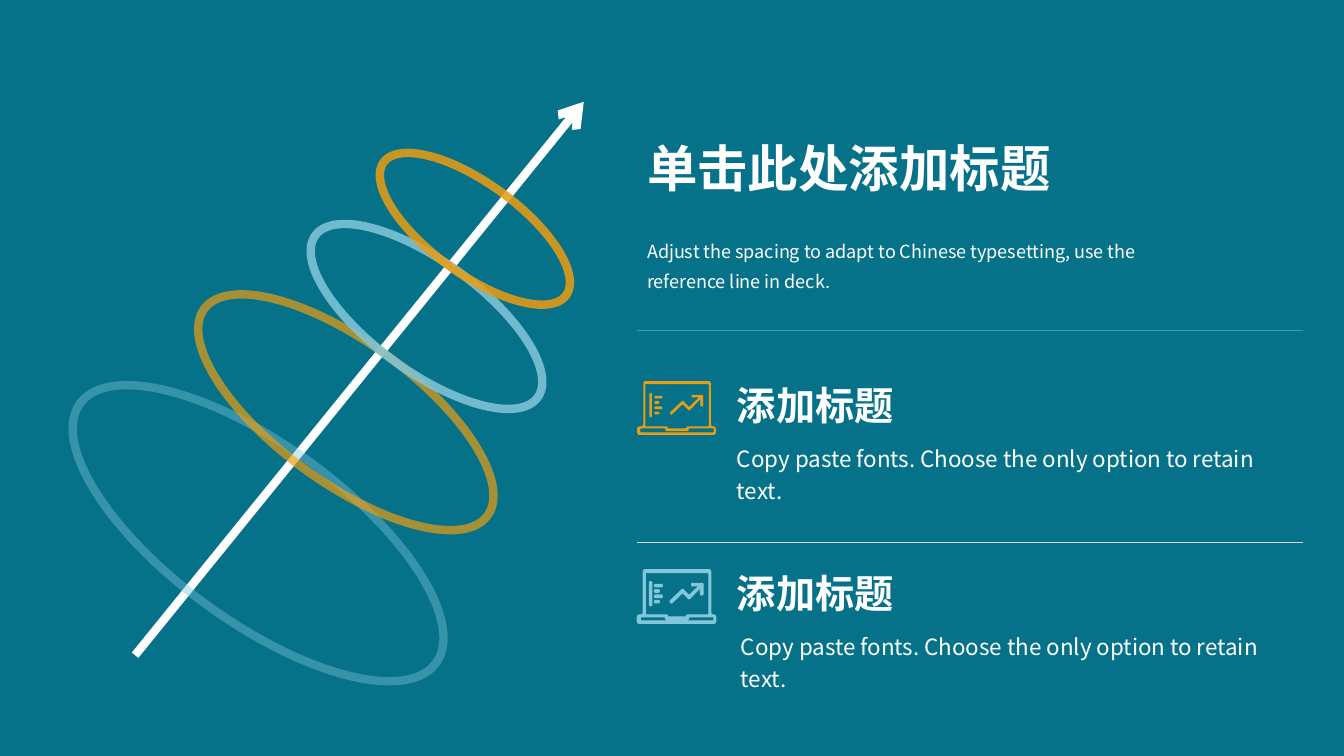
from dataclasses import dataclass

from lxml.etree import SubElement
from pptx import Presentation
from pptx.dml.color import RGBColor
from pptx.enum.shapes import MSO_CONNECTOR, MSO_SHAPE
from pptx.enum.text import MSO_ANCHOR
from pptx.oxml.ns import qn
from pptx.util import Inches, Pt


@dataclass(frozen=True)
class Theme:
    background: str = "057289"
    white: str = "FFFFFF"
    orange: str = "EA9D14"
    sky: str = "83C5D9"
    rule_dim: str = "4398AB"
    rule_light: str = "D9D9D9"
    font: str = "Noto Sans CJK SC"
    headline: float = 36
    item_title: float = 28
    item_body: float = 16
    intro: float = 12.9
    stroke: float = 6
    hairline: float = 0.25


THEME = Theme()

# Laptop icon, in thousandths of an inch: corner radius and corner points
LAPTOP = [
    (25, [(60, 0), (730, 0), (730, 450), (780, 450),
          (780, 535), (0, 535), (0, 450), (60, 450)]),
    (10, [(80, 30), (710, 30), (710, 450), (490, 450),
          (490, 470), (300, 470), (300, 450), (80, 450)]),
    (12, [(30, 470), (280, 470), (280, 497), (510, 497),
          (510, 470), (760, 470), (760, 510), (30, 510)]),
    (8, [(540, 137), (653, 137), (653, 253), (627, 253), (627, 180),
         (515, 295), (450, 230), (340, 337), (322, 315), (450, 193),
         (515, 257), (612, 163), (540, 163)]),
]


def box_corners(left, top, width, height):
    right, bottom = left + width, top + height
    return [(left, top), (right, top), (right, bottom), (left, bottom)]


LAPTOP.append((12, box_corners(120, 120, 26, 240)))
LAPTOP += [(12, box_corners(170, 147 + 53 * row, 80 if row % 2 == 0 else 50, 26))
           for row in range(4)]


def rgb(color):
    return RGBColor.from_string(color)


def rounded(corners, radius, steps=4):
    """Return the outline with each corner replaced by a short curve."""
    outline = []
    for i, (x, y) in enumerate(corners):
        ends = []
        for nx, ny in (corners[i - 1], corners[(i + 1) % len(corners)]):
            length = ((nx - x) ** 2 + (ny - y) ** 2) ** 0.5
            share = min(radius / length, 0.5)
            ends.append((x + (nx - x) * share, y + (ny - y) * share))
        (ax, ay), (bx, by) = ends
        for step in range(steps + 1):
            t = step / steps
            p, q, r = (1 - t) ** 2, 2 * t * (1 - t), t ** 2
            outline.append((p * ax + q * x + r * bx, p * ay + q * y + r * by))
    return outline


def add_text(slide, box, text, size, bold=False, spacing=None, anchor=MSO_ANCHOR.TOP):
    frame = slide.shapes.add_textbox(*map(Inches, box)).text_frame
    frame.word_wrap = True
    frame.vertical_anchor = anchor
    paragraph = frame.paragraphs[0]
    paragraph.text = text
    if spacing:
        paragraph.line_spacing = spacing
    font = paragraph.font
    font.name, font.size, font.bold = THEME.font, Pt(size), bold
    font.color.rgb = rgb(THEME.white)
    # East Asian text takes its typeface from a separate element
    SubElement(font._element, qn("a:ea")).set("typeface", THEME.font)


def add_line(slide, start, end, color, width):
    line = slide.shapes.add_connector(
        MSO_CONNECTOR.STRAIGHT, *map(Inches, (*start, *end)))
    line.line.color.rgb = rgb(color)
    line.line.width = Pt(width)
    SubElement(line._element.spPr, qn("a:effectLst"))
    return line


def add_rule(slide, left, top, width, color):
    add_line(slide, (left, top), (left + width, top), color, THEME.hairline)


def add_ring(slide, center, width, color, opacity):
    height = width * 0.4
    ring = slide.shapes.add_shape(
        MSO_SHAPE.OVAL,
        *map(Inches, (center[0] - width / 2, center[1] - height / 2, width, height)))
    ring.rotation = 36.1
    ring.shadow.inherit = False
    ring.fill.background()
    ring.line.color.rgb = rgb(color)
    ring.line.width = Pt(THEME.stroke)
    srgb = ring.line._ln.find(".//" + qn("a:srgbClr"))
    SubElement(srgb, qn("a:alpha")).set("val", str(opacity * 1000))


def add_laptop(slide, left, top, color, outlined):
    contours = [rounded(corners, radius) for radius, corners in LAPTOP]
    builder = slide.shapes.build_freeform(*contours[0][0], scale=Inches(1) / 1000)
    builder.add_line_segments(contours[0][1:], close=True)
    for contour in contours[1:]:
        builder.move_to(*contour[0])
        builder.add_line_segments(contour[1:], close=True)
    laptop = builder.convert_to_shape(Inches(left), Inches(top))
    laptop.shadow.inherit = False
    laptop.fill.solid()
    laptop.fill.fore_color.rgb = rgb(color)
    if outlined:
        laptop.line.color.rgb = rgb(color)
        laptop.line.width = Pt(0.75)
    else:
        laptop.line.fill.background()


def add_spiral(slide, left, top, width, height):
    """Draw an arrow across the box with tilted rings that shrink towards its tip."""
    arrow = add_line(slide, (left, top + height), (left + width, top),
                     THEME.white, THEME.stroke)
    SubElement(arrow.line._ln, qn("a:tailEnd")).set("type", "arrow")
    for dx, dy, ring_width, color, opacity in (
            (1.22, 4.28, 4.37, THEME.sky, 40),
            (2.09, 3.08, 3.48, THEME.orange, 70),
            (2.89, 2.13, 2.73, THEME.sky, 85),
            (3.37, 1.26, 2.24, THEME.orange, 85)):
        add_ring(slide, (left + dx, top + dy), ring_width, color, opacity)


def add_heading(slide, left, top):
    add_text(slide, (left, top, 7, 0.46), "单击此处添加标题",
             THEME.headline, bold=True, anchor=MSO_ANCHOR.MIDDLE)
    add_text(slide, (left, top + 0.8, 5.17, 0.74),
             "Adjust the spacing to adapt to Chinese typesetting, "
             "use the reference line in deck.",
             THEME.intro, spacing=1.4, anchor=MSO_ANCHOR.MIDDLE)


def add_item(slide, left, top, color, outlined=False, body_indent=0):
    add_laptop(slide, left, top + 0.05, color, outlined)
    add_text(slide, (left + 0.89, top, 5.82, 0.57), "添加标题",
             THEME.item_title, bold=True)
    add_text(slide, (left + 0.89 + body_indent, top + 0.58, 5.82, 1.46),
             "Copy paste fonts. Choose the only option to retain text.",
             THEME.item_body, spacing=1.2)


def main():
    deck = Presentation()
    deck.slide_width, deck.slide_height = Inches(13.33), Inches(7.5)
    slide = deck.slides.add_slide(deck.slide_layouts[6])
    slide.background.fill.solid()
    slide.background.fill.fore_color.rgb = rgb(THEME.background)

    column = 6.32
    add_spiral(slide, 1.34, 1.01, 4.45, 5.49)
    add_heading(slide, column, 1.43)
    add_rule(slide, column, 3.28, 6.6, THEME.rule_dim)
    add_item(slide, column, 3.73, THEME.orange)
    add_rule(slide, column, 5.38, 6.6, THEME.rule_light)
    add_item(slide, column, 5.6, THEME.sky, outlined=True, body_indent=0.04)
    deck.save("out.pptx")


if __name__ == "__main__":
    main()
